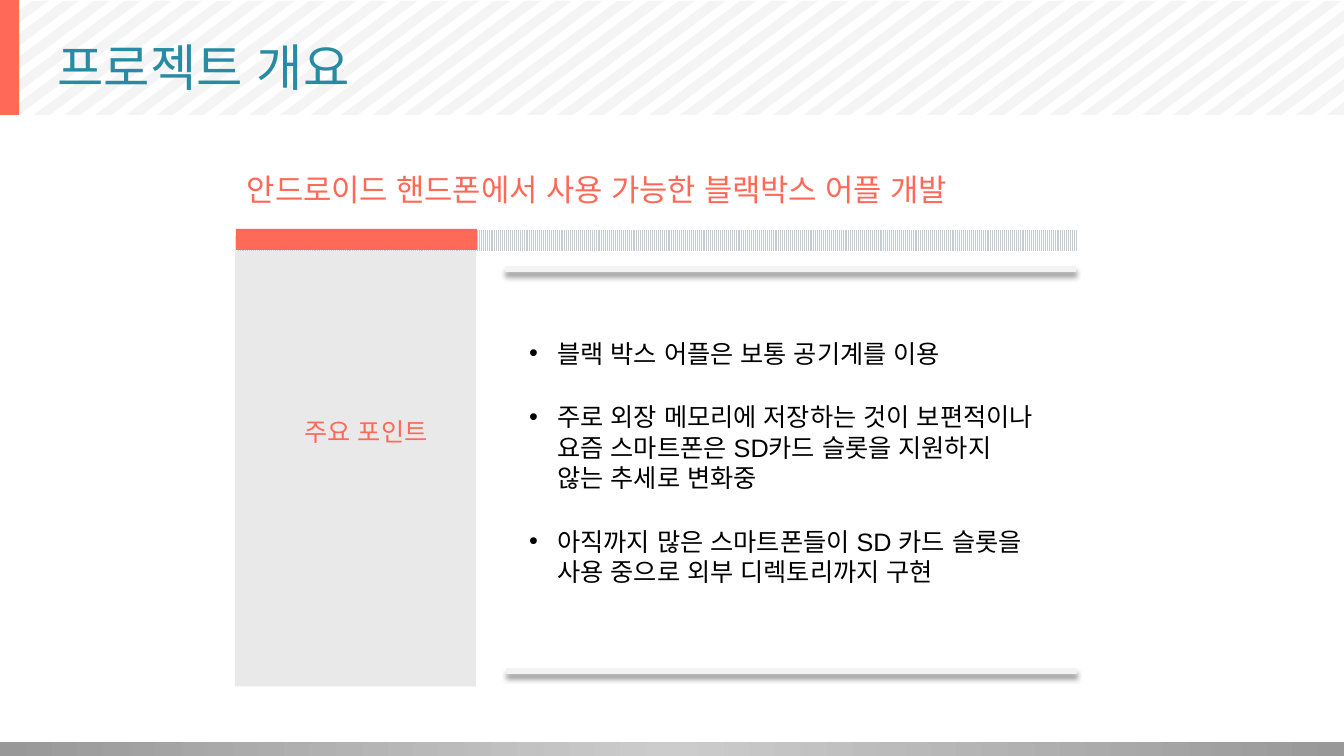
from copy import deepcopy
from dataclasses import dataclass

from lxml import etree
from pptx import Presentation
from pptx import util as u
from pptx.dml.color import RGBColor
from pptx.enum import dml, shapes, text
from pptx.oxml import ns


@dataclass(frozen=True)
class Theme:
    font: str = "Arial"
    coral: str = "FF6957"
    teal: str = "268BA3"
    black: str = "000000"
    white: str = "FFFFFF"
    stripe: str = "EBEBEB"
    panel: str = "9D9C9C"
    ruler: str = "C5CCD1"
    rule: str = "F3F3F3"
    footer: tuple[str, ...] = ("989898", "CCCCCC", "989898")
    title_size: int = 36
    heading_size: int = 22
    body_size: int = 18


@dataclass(frozen=True)
class Frame:
    left: float
    top: float
    width: float
    height: float

    def lengths(self) -> list[u.Length]:
        return [u.Inches(v) for v in (self.left, self.top, self.width, self.height)]


@dataclass(frozen=True)
class Label:
    frame: Frame
    lines: tuple[str, ...]
    size: int
    color: str
    anchor: text.MSO_ANCHOR = text.MSO_ANCHOR.TOP
    align: text.PP_ALIGN = text.PP_ALIGN.LEFT
    bulleted: bool = False


THEME = Theme()
SLIDE_WIDTH, SLIDE_HEIGHT = 13.33, 7.5

# Diagonal stripes: bottom-left corners step evenly across the header
STRIPE_TOP, STRIPE_BOTTOM = 0.01, 1.14
STRIPE_RUN, STRIPE_WIDTH = 1.51, 0.16
STRIPE_FIRST, STRIPE_LAST = 0.03, 13.16
STRIPE_STEP = (STRIPE_LAST - STRIPE_FIRST) / 43

RULE_SPANS = ((5.01, 10.67, 2.67), (5.02, 10.68, 6.66))

LABELS = (
    Label(Frame(0.47, 0.14, 12.36, 1.03), ("프로젝트 개요",),
          THEME.title_size, THEME.teal, text.MSO_ANCHOR.MIDDLE),
    Label(Frame(2.35, 1.64, 8.32, 0.46),
          ("안드로이드 핸드폰에서 사용 가능한 블랙박스 어플 개발",),
          THEME.heading_size, THEME.coral),
    Label(Frame(2.92, 4.08, 1.42, 0.7), ("주요 포인트",),
          THEME.body_size, THEME.coral, align=text.PP_ALIGN.CENTER),
    Label(Frame(5.14, 2.84, 5.27, 3.49),
          ("블랙 박스 어플은 보통 공기계를 이용",
           "주로 외장 메모리에 저장하는 것이 보편적이나 요즘 스마트폰은 "
           "SD카드 슬롯을 지원하지 않는 추세로 변화중",
           "아직까지 많은 스마트폰들이 SD 카드 슬롯을 사용 중으로 "
           "외부 디렉토리까지 구현"),
          THEME.body_size, THEME.black, text.MSO_ANCHOR.MIDDLE, bulleted=True),
)


def rgb(color: str) -> RGBColor:
    return RGBColor.from_string(color)


def add_child(parent, tag: str, **attributes):
    return etree.SubElement(parent, ns.qn(tag), attributes)


def paint(shape, color: str, opacity: int = 100) -> None:
    shape.fill.solid()
    shape.fill.fore_color.rgb = rgb(color)
    if opacity < 100:
        tint = shape._element.spPr.find(".//" + ns.qn("a:srgbClr"))
        add_child(tint, "a:alpha", val=str(opacity * 1000))


def plain(shape):
    shape.shadow.inherit = False
    shape.line.fill.background()
    return shape


def add_block(page, frame: Frame):
    return plain(page.shapes.add_shape(shapes.MSO_SHAPE.RECTANGLE, *frame.lengths()))


def stripe_edge(bottom_x: float) -> list[tuple[u.Length, u.Length]]:
    """Ends of one slanted edge, cut off at the sides of the slide."""
    slope = (STRIPE_BOTTOM - STRIPE_TOP) / STRIPE_RUN
    ends = [min(max(x, 0), SLIDE_WIDTH) for x in (bottom_x, bottom_x + STRIPE_RUN)]
    return [(u.Inches(x), u.Inches(STRIPE_BOTTOM - (x - bottom_x) * slope))
            for x in ends]


def add_stripe(page, bottom_x: float) -> None:
    start, *rest = stripe_edge(bottom_x) + stripe_edge(bottom_x + STRIPE_WIDTH)[::-1]
    builder = page.shapes.build_freeform(*start)
    builder.add_line_segments(rest, close=True)
    paint(plain(builder.convert_to_shape()), THEME.stripe, 52)


def add_footer(page) -> None:
    bar = add_block(page, Frame(0, 7.36, SLIDE_WIDTH, 0.14))
    bar.fill.gradient()
    bar.fill.gradient_angle = 0
    stop_list = bar._element.spPr.find(".//" + ns.qn("a:gsLst"))
    stop_list.append(deepcopy(stop_list[0]))
    for index, (stop, color) in enumerate(zip(bar.fill.gradient_stops, THEME.footer)):
        stop.position = index / 2
        stop.color.rgb = rgb(color)


def add_rule(page, left: float, right: float, y: float) -> None:
    ends = [u.Inches(v) for v in (left, y, right, y)]
    rule = page.shapes.add_connector(shapes.MSO_CONNECTOR.STRAIGHT, *ends)
    rule.line.color.rgb = rgb(THEME.rule)
    rule.line.width = u.Pt(4.5)
    effects = add_child(rule._element.spPr, "a:effectLst")
    shadow = add_child(effects, "a:outerShdw", blurRad=str(u.Pt(4)),
                       dist=str(u.Pt(3)), dir="5400000", rotWithShape="0")
    shade = add_child(shadow, "a:srgbClr", val=THEME.black)
    add_child(shade, "a:alpha", val="40000")


def add_bullet(para) -> None:
    properties = para._p.get_or_add_pPr()
    properties.set("marL", str(u.Inches(0.29)))
    properties.set("indent", str(u.Inches(-0.28)))
    add_child(properties, "a:buFont", typeface=THEME.font)
    add_child(properties, "a:buChar", char="•")


def set_font(para, size: int, color: str) -> None:
    para.font.name = THEME.font
    para.font.size = u.Pt(size)
    para.font.color.rgb = rgb(color)
    # Korean text and its spaces use the same typeface
    add_child(para._p.pPr.find(ns.qn("a:defRPr")), "a:ea", typeface=THEME.font)


def add_label(page, label: Label) -> None:
    box = page.shapes.add_textbox(*label.frame.lengths()).text_frame
    box.word_wrap = True
    box.vertical_anchor = label.anchor
    for index, line in enumerate(label.lines):
        para = box.add_paragraph() if index else box.paragraphs[0]
        para.text = line
        para.alignment = label.align
        if label.bulleted:
            add_bullet(para)
        if index:
            para.space_before = u.Pt(24)
        set_font(para, label.size, label.color)


def main() -> None:
    deck = Presentation()
    deck.slide_width, deck.slide_height = u.Inches(SLIDE_WIDTH), u.Inches(SLIDE_HEIGHT)
    page = deck.slides.add_slide(deck.slide_layouts[6])

    # Header and footer bands
    for number in range(-5, 44):
        add_stripe(page, STRIPE_FIRST + number * STRIPE_STEP)
    add_footer(page)
    paint(add_block(page, Frame(0, 0, 0.19, 1.14)), THEME.coral)

    # Side panel with its ruler strip
    paint(add_block(page, Frame(2.33, 2.34, 2.39, 4.47)), THEME.panel, 22)
    ruler = add_block(page, Frame(2.34, 2.28, 8.35, 0.21))
    ruler.fill.patterned()
    ruler.fill.pattern = dml.MSO_PATTERN_TYPE.LIGHT_VERTICAL
    ruler.fill.fore_color.rgb = rgb(THEME.ruler)
    ruler.fill.back_color.rgb = rgb(THEME.white)
    paint(add_block(page, Frame(2.34, 2.27, 2.39, 0.21)), THEME.coral)

    # Shadowed rules around the points
    for span in RULE_SPANS:
        add_rule(page, *span)

    # Title, heading, panel caption and points
    for label in LABELS:
        add_label(page, label)

    deck.save("out.pptx")


if __name__ == "__main__":
    main()
